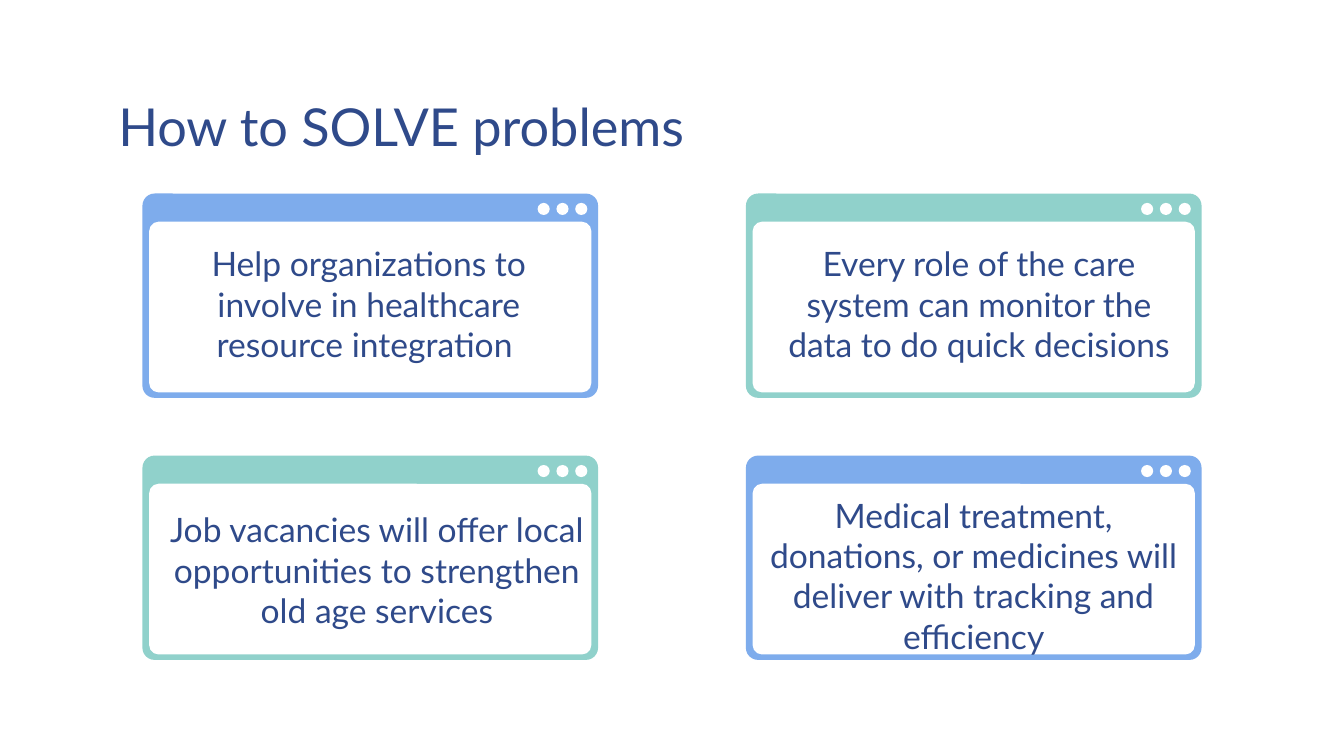
from pptx import Presentation
from pptx.dml.color import RGBColor
from pptx.enum.shapes import MSO_SHAPE
from pptx.enum.text import MSO_ANCHOR, MSO_AUTO_SIZE, PP_ALIGN
from pptx.util import Inches, Pt

ROUNDED, OVAL = MSO_SHAPE.ROUNDED_RECTANGLE, MSO_SHAPE.OVAL
TOP, NO_FIT = MSO_ANCHOR.TOP, MSO_AUTO_SIZE.NONE
LEFT, CENTER = PP_ALIGN.LEFT, PP_ALIGN.CENTER
BLUE, TEAL, WHITE, NAVY = "7EACEC", "90D1CB", "FFFFFF", "2F4A8A"


def add_shape(shapes, kind, box, color, radius=None):
    sp = shapes.add_shape(kind, *map(Inches, box))
    sp.shadow.inherit = False
    sp.fill.solid()
    sp.fill.fore_color.rgb = RGBColor.from_string(color)
    sp.line.fill.background()
    if radius:
        sp.adjustments[0] = radius / box[3]


def write(sp, box, text, size, align):
    sp.left, sp.top, sp.width, sp.height = map(Inches, box)
    tf = sp.text_frame
    tf.text = text
    tf.word_wrap, tf.auto_size, tf.vertical_anchor = True, NO_FIT, TOP
    tf.margin_left = tf.margin_right = tf.margin_top = tf.margin_bottom = Inches(0.1)
    p = tf.paragraphs[0]
    p.alignment, p.line_spacing = align, 1.0
    font = p.runs[0].font
    font.name, font.size = "Lato", Pt(size)
    font.color.rgb = RGBColor.from_string(NAVY)


# Widescreen slide, 16 by 9
prs = Presentation()
prs.slide_width = Inches(10)
prs.slide_height = prs.slide_width * 9 // 16
s = prs.slides.add_slide(prs.slide_layouts[5])

# Title
write(s.shapes.title, (0.78, 0.6, 8.44, 0.51), "How to SOLVE problems", 28, LEFT)

# Window cards on a two by two grid
X0, Y0, COL, ROW = 1.06, 1.44, 4.49, 1.95
CARD_W, CARD_H = 3.39, 1.52
# color, text, then the text box's offset in the card and its size
cards = [
    (BLUE, "Help organizations to involve in healthcare resource integration ",
     (0.05, 0.27, 3.27, 1.14)),
    (TEAL, "Every role of the care system can monitor the data to do quick decisions",
     (0.1, 0.27, 3.27, 1.14)),
    (TEAL, "Job vacancies will offer local opportunities to strengthen old age services",
     (0.06, 0.3, 3.37, 1.14)),
    (BLUE, "Medical treatment, donations, or medicines will deliver with tracking and efficiency",
     (0.06, 0.19, 3.27, 1.33)),
]
for i, (color, text, (dx, dy, w, h)) in enumerate(cards):
    x, y = X0 + i % 2 * COL, Y0 + i // 2 * ROW

    # Frame, white pane and three window buttons
    window = s.shapes.add_group_shape().shapes
    add_shape(window, ROUNDED, (x, y, CARD_W, CARD_H), color, 0.09)
    add_shape(window, ROUNDED, (x + 0.05, y + 0.21, CARD_W - 0.1, 1.27), WHITE, 0.07)
    for n in range(3):
        add_shape(window, OVAL, (x + 2.94 + n * 0.14, y + 0.07, 0.09, 0.09), WHITE)

    # Card text
    tb = s.shapes.add_textbox(0, 0, 0, 0)
    write(tb, (x + dx, y + dy, w, h), text, 18, CENTER)

prs.save("out.pptx")
